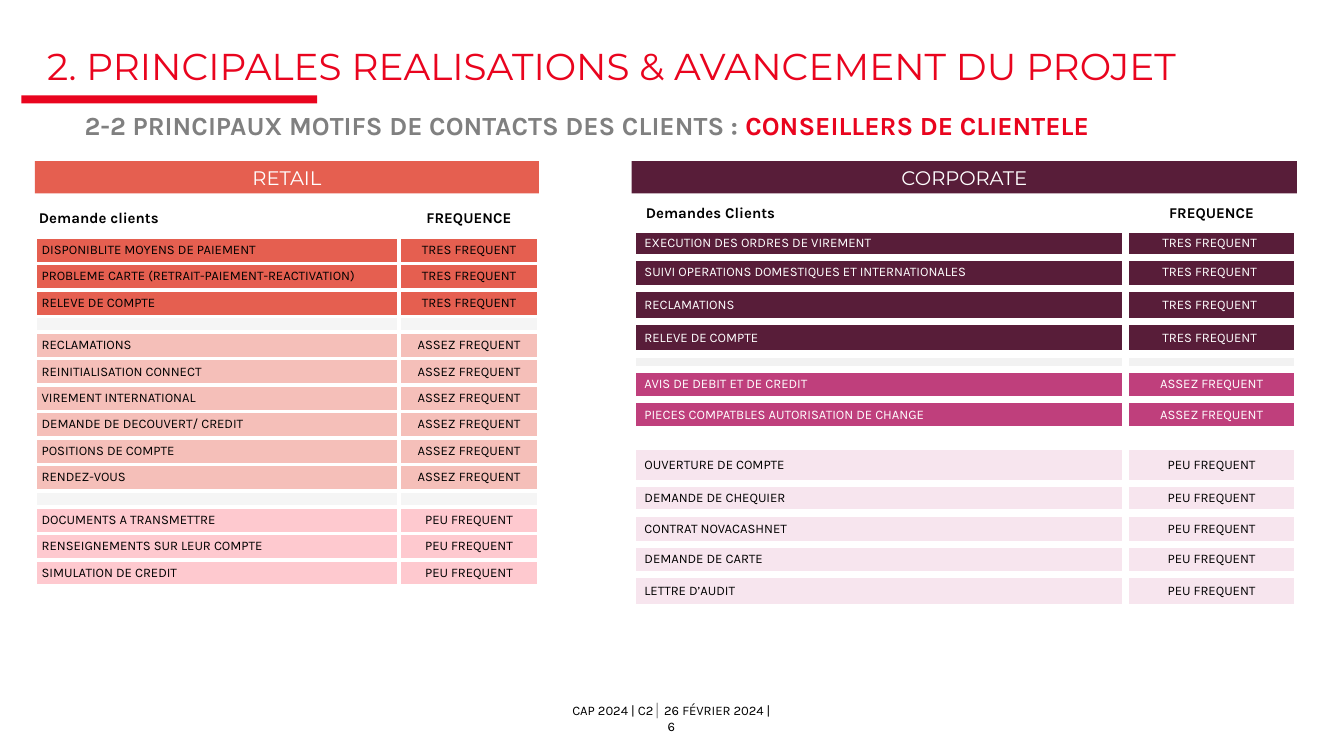
from lxml.etree import SubElement
from pptx import Presentation
from pptx.dml.color import RGBColor
from pptx.enum.shapes import MSO_SHAPE
from pptx.enum.text import MSO_ANCHOR, PP_ALIGN
from pptx.oxml.ns import qn
from pptx.util import Inches, Pt

RED, GREY, BLACK, WHITE = "E9041E", "808080", "010101", "FFFFFF"
CORAL, PLUM = "E55F50", "581D39"

# A 16:9 slide on a square grid, 1000 columns wide
deck = Presentation()
deck.slide_width = Inches(10)
deck.slide_height = deck.slide_width * 9 // 16
COL = ROW = deck.slide_width / 1000
slide = deck.slides.add_slide(deck.slide_layouts[6])


def place(left, top, width, height):
    """Turn grid columns and rows into a position and a size."""
    return int(left * COL), int(top * ROW), int(width * COL), int(height * ROW)


def write(frame, pieces, size, font="Karla", bold=False, align=PP_ALIGN.LEFT,
          anchor=MSO_ANCHOR.MIDDLE, indent=0, end=0):
    """Fill a text frame or table cell with (text, colour) pieces."""
    frame.margin_top = frame.margin_bottom = 0
    frame.margin_left, frame.margin_right = int(indent * COL), int(end * COL)
    frame.vertical_anchor = anchor
    frame.word_wrap = True
    paragraph = getattr(frame, "text_frame", frame).paragraphs[0]
    paragraph.alignment = align
    paragraph.font.name, paragraph.font.size = font, Pt(size)
    paragraph.font.bold = bold
    for text, colour in pieces:
        run = paragraph.add_run()
        run.text = text
        run.font.color.rgb = RGBColor.from_string(colour)
    return paragraph


# Title, subtitle and footer
title = slide.shapes.add_textbox(*place(35, 39, 965, 26)).text_frame
write(title, [("2. PRINCIPALES REALISATIONS & AVANCEMENT DU PROJET", RED)], 20,
      "Montserrat", anchor=MSO_ANCHOR.BOTTOM).line_spacing = 0.75

subtitle = slide.shapes.add_textbox(*place(63, 84, 893, 21)).text_frame
write(subtitle, [("2-2 PRINCIPAUX MOTIFS DE CONTACTS DES CLIENTS : ", GREY),
                 ("CONSEILLERS DE CLIENTELE", RED)], 14, bold=True,
      anchor=MSO_ANCHOR.TOP).line_spacing = 0.9

footer = slide.shapes.add_textbox(*place(424, 528.5, 151, 12)).text_frame
write(footer, [("CAP 2024 | C2", BLACK), ("│ ", GREY),
               ("26 FÉVRIER 2024 | 6", BLACK)], 7, align=PP_ALIGN.CENTER)

# Title underline and the two section bands
for area, colour, label in [
    ((16, 71, 220, 6), RED, ""),
    ((470, 120, 495, 24), PLUM, "CORPORATE"),
    ((26, 120, 375, 24), CORAL, "RETAIL"),
]:
    band = slide.shapes.add_shape(MSO_SHAPE.RECTANGLE, *place(*area))
    band.shadow.inherit = False
    band.fill.solid()
    band.fill.fore_color.rgb = RGBColor.from_string(colour)
    band.line.fill.background()
    if label:
        write(band.text_frame, [(label, WHITE)], 10.5, "Montserrat",
              align=PP_ALIGN.CENTER)

# Table contents: (frequency, fill, text colour, requests); no frequency is a gap
retail = [
    ("TRES FREQUENT", CORAL, BLACK, [
        "DISPONIBLITE MOYENS DE PAIEMENT",
        "PROBLEME CARTE (RETRAIT-PAIEMENT-REACTIVATION)",
        "RELEVE DE COMPTE"]),
    ("", "F5F5F5", BLACK, [""]),
    ("ASSEZ FREQUENT", "F5BFB9", BLACK, [
        "RECLAMATIONS", "REINITIALISATION CONNECT", "VIREMENT INTERNATIONAL",
        "DEMANDE DE DECOUVERT/ CREDIT", "POSITIONS DE COMPTE", "RENDEZ-VOUS"]),
    ("", "F5F5F5", BLACK, [""]),
    ("PEU FREQUENT", "FEC9CF", BLACK, [
        "DOCUMENTS A TRANSMETTRE", "RENSEIGNEMENTS SUR LEUR COMPTE",
        "SIMULATION DE CREDIT"]),
]
corporate = [
    ("TRES FREQUENT", PLUM, WHITE, [
        "EXECUTION DES ORDRES DE VIREMENT",
        "SUIVI OPERATIONS DOMESTIQUES ET INTERNATIONALES",
        "RECLAMATIONS", "RELEVE DE COMPTE"]),
    ("", "F2F2F2", BLACK, [""]),
    ("ASSEZ FREQUENT", "BF3F7C", WHITE, [
        "AVIS DE DEBIT ET DE CREDIT",
        "PIECES COMPATBLES AUTORISATION DE CHANGE"]),
    ("", WHITE, BLACK, [""]),
    ("PEU FREQUENT", "F7E5EE", BLACK, [
        "OUVERTURE DE COMPTE", "DEMANDE DE CHEQUIER", "CONTRAT NOVACASHNET",
        "DEMANDE DE CARTE", "LETTRE D’AUDIT"]),
]
retail_heights = [27.4] + 3 * [19.7] + [11.7] + 6 * [19.7] + [12] + 3 * [19.7]
corporate_heights = [24, 20.5, 23, 25, 24, 11.5, 22.5, 22.5, 12,
                     28, 22, 23.5, 22, 25]

# Both tables: a bold heading row, then one row per request
for heading, groups, left, top, widths, heights, border, indents, end in [
    ("Demande clients", retail, 26, 149, (271, 104), retail_heights,
     2.25, (3, 5), 0),
    ("Demandes Clients", corporate, 470.5, 147, (367, 128), corporate_heights,
     4.5, (10, 9), 3),
]:
    rows = [(heading, "FREQUENCE", WHITE, BLACK)]
    rows += [(request, frequency, fill, colour)
             for frequency, fill, colour, requests in groups
             for request in requests]
    table = slide.shapes.add_table(
        len(rows), 2, *place(left, top, sum(widths), sum(heights))).table
    table.first_row = table.horz_banding = False
    for column, width in zip(table.columns, widths):
        column.width = int(width * COL)

    for r, (request, frequency, fill, colour) in enumerate(rows):
        table.rows[r].height = int(heights[r] * ROW)
        is_heading = r == 0
        size = 8 if is_heading else 7 if request else 2
        for c, text in enumerate((request, frequency)):
            cell = table.cell(r, c)
            write(cell, [(text, colour)] if text else [], size, bold=is_heading,
                  align=PP_ALIGN.CENTER if c else PP_ALIGN.LEFT,
                  indent=0 if c else indents[0 if is_heading else 1],
                  end=end if c and frequency == "TRES FREQUENT" else 0)
            # White borders come before the fill in the cell properties
            properties = cell._tc.get_or_add_tcPr()
            for side in ("a:lnL", "a:lnR", "a:lnT", "a:lnB"):
                line = SubElement(properties, qn(side), w=str(Pt(border)))
                SubElement(SubElement(line, qn("a:solidFill")),
                           qn("a:srgbClr"), val=WHITE)
            cell.fill.solid()
            cell.fill.fore_color.rgb = RGBColor.from_string(fill)

deck.save("out.pptx")
